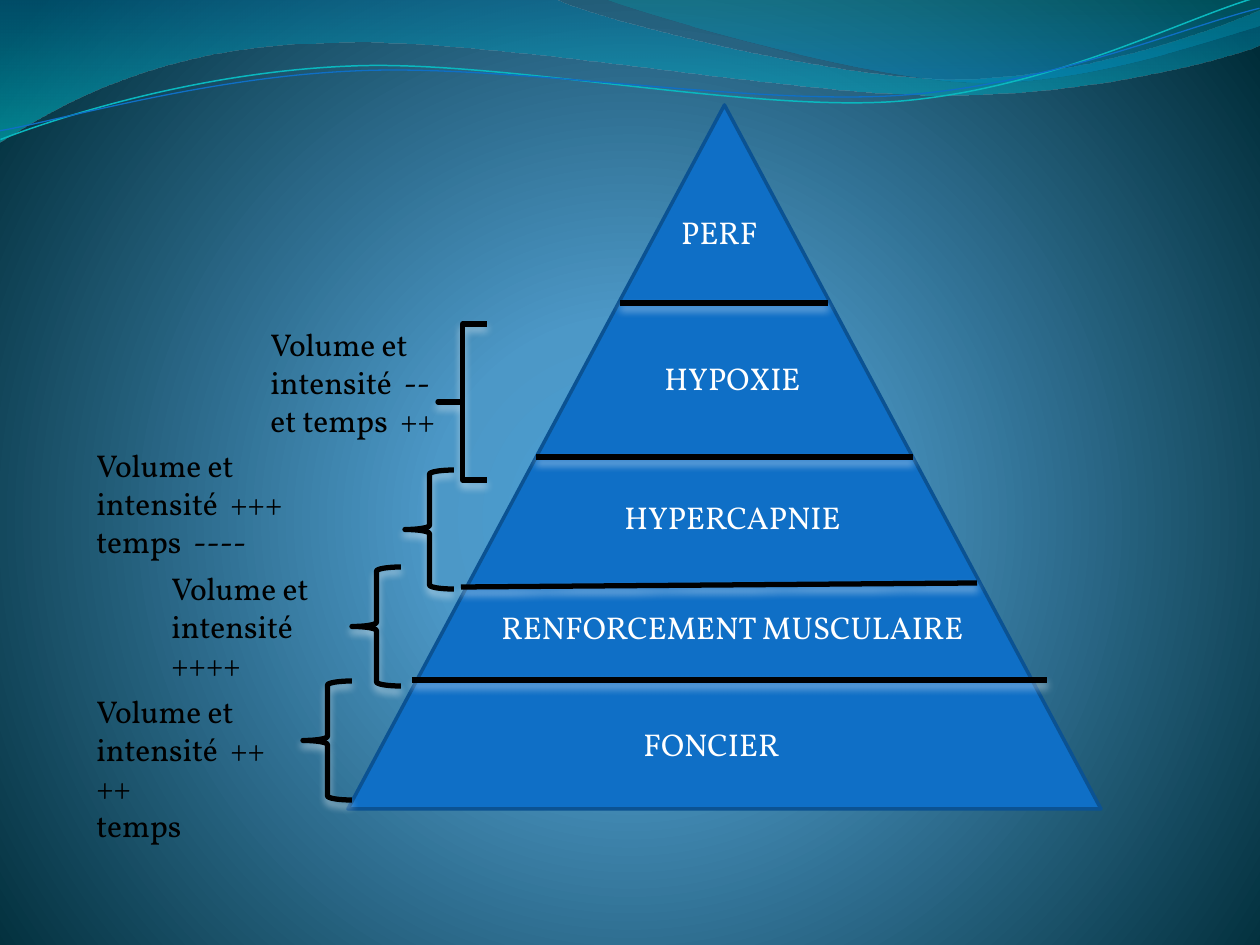
from lxml import etree
from pptx import Presentation
from pptx.dml.color import RGBColor
from pptx.enum.shapes import MSO_CONNECTOR, MSO_SHAPE
from pptx.enum.text import MSO_AUTO_SIZE, PP_ALIGN
from pptx.oxml import parse_xml
from pptx.oxml.ns import nsdecls, qn
from pptx.util import Pt

TRIANGLE, BRACE = MSO_SHAPE.ISOSCELES_TRIANGLE, MSO_SHAPE.LEFT_BRACE
STRAIGHT = MSO_CONNECTOR.STRAIGHT
GROW = MSO_AUTO_SIZE.SHAPE_TO_FIT_TEXT
LEFT, CENTER = PP_ALIGN.LEFT, PP_ALIGN.CENTER

PX = 914400 / 126
BLACK, WHITE, BLUE, DARK_BLUE = "000000", "FFFFFF", "0F6FC6", "0B5292"
CIRCLE = ('<a:path path="circle"><a:fillToRect l="10000" t="110000" '
          'r="10000" b="100000"/></a:path>')
DOWNWARD = '<a:lin ang="5400000" scaled="1"/>'


def px(n):
    return round(n * PX)


def color(hex_code):
    return RGBColor.from_string(hex_code)


def gradient(stops, direction):
    """Return a gradFill element; stops are (position %, colour, opacity %)."""
    gs = "".join(
        f'<a:gs pos="{pos * 1000}"><a:srgbClr val="{c}">'
        f'<a:alpha val="{opacity * 1000}"/></a:srgbClr></a:gs>'
        for pos, c, opacity in stops)
    return parse_xml(f'<a:gradFill {nsdecls("a")} rotWithShape="1">'
                     f'<a:gsLst>{gs}</a:gsLst>{direction}</a:gradFill>')


def add_step(path, tag, coords, left, top):
    """Append one drawing step whose coords are x, y pairs on the slide."""
    step = etree.SubElement(path, qn(tag))
    for x, y in zip(coords[::2], coords[1::2]):
        pt = etree.SubElement(step, qn("a:pt"))
        pt.set("x", str(px(x - left)))
        pt.set("y", str(px(y - top)))


def write(tf, paragraphs, size=18, font="Vollkorn", fill=BLACK, align=LEFT):
    for i, text in enumerate(paragraphs):
        p = tf.paragraphs[0] if i == 0 else tf.add_paragraph()
        p.alignment = align
        r = p.add_run()
        r.text = text
        r.font.size, r.font.name = Pt(size), font
        r.font.color.rgb = color(fill)


class Deck:
    def __init__(self, prs):
        self.s = prs.slides.add_slide(prs.slide_layouts[6])
        self.shapes = self.s.shapes

    def background(self, stops):
        self.s.background.fill.solid()
        bg = self.s._element.find(".//" + qn("p:bgPr"))
        bg.replace(bg[0], gradient(stops, CIRCLE))

    def curved_outline(self, box, start, segments, closed):
        """Draw lines (x, y) and cubic curves (x1, y1, x2, y2, x, y)."""
        x, y, w, h = box
        builder = self.shapes.build_freeform(px(x), px(y))
        builder.add_line_segments([(px(x + w), px(y + h))], close=False)
        sp = builder.convert_to_shape()
        path = sp._element.find(".//" + qn("a:path"))
        for step in list(path):
            path.remove(step)
        add_step(path, "a:moveTo", start, x, y)
        for seg in segments:
            tag = "a:lnTo" if len(seg) == 2 else "a:cubicBezTo"
            add_step(path, tag, seg, x, y)
        if closed:
            etree.SubElement(path, qn("a:close"))
        sp.shadow.inherit = False
        sp.fill.background()
        return sp

    def wave_band(self, box, start, segments, stops):
        sp = self.curved_outline(box, start, segments, closed=True)
        sp.line.fill.background()
        no_fill = sp._element.spPr.find(qn("a:noFill"))
        sp._element.spPr.replace(no_fill, gradient(stops, DOWNWARD))

    def wave_line(self, box, start, segments, line, width):
        sp = self.curved_outline(box, start, segments, closed=False)
        sp.rotation = 357.3
        self.stroke(sp, line, width)

    def stroke(self, sp, line, width):
        sp.line.color.rgb = color(line)
        sp.line.width = Pt(width)

    def cast_shadow(self, sp):
        effects = etree.SubElement(sp._element.spPr, qn("a:effectLst"))
        effects.append(parse_xml(
            f'<a:outerShdw {nsdecls("a")} blurRad="{Pt(4.5)}" dist="{Pt(3)}" '
            f'dir="5400000" rotWithShape="0"><a:srgbClr val="{WHITE}">'
            '<a:alpha val="48000"/></a:srgbClr></a:outerShdw>'))

    def pyramid(self, *box):
        sp = self.shapes.add_shape(TRIANGLE, *map(px, box))
        sp.shadow.inherit = False
        sp.fill.solid()
        sp.fill.fore_color.rgb = color(BLUE)
        self.stroke(sp, DARK_BLUE, 2)

    def divider(self, *ends):
        line = self.shapes.add_connector(STRAIGHT, *map(px, ends))
        self.stroke(line, BLACK, 3)
        self.cast_shadow(line)

    def brace(self, x, y, h=119, curl=None):
        sp = self.shapes.add_shape(BRACE, px(x), px(y), px(49), px(h))
        if curl is not None:
            sp.adjustments[0] = curl
        sp.fill.background()
        self.stroke(sp, BLACK, 3)
        self.cast_shadow(sp)

    def text(self, box, paragraphs, wrap=True, **style):
        tf = self.shapes.add_textbox(*map(px, box)).text_frame
        tf.word_wrap = wrap
        tf.auto_size = GROW
        write(tf, paragraphs, **style)


def main():
    prs = Presentation()
    prs.slide_width, prs.slide_height = px(1260), px(945)
    deck = Deck(prs)
    deck.background([(0, "4AA0D6", 100), (25, "4C98C7", 100),
                     (100, "002C38", 100)])

    deck.wave_band((-1, -1, 1262, 143), (0, 0),
                   [(554, -1), (600, 21, 837, 79, 955, 79),
                    (1075, 79, 1207, 33, 1260, 11), (1261, 45),
                    (1239, 55, 1096, 96, 940, 95),
                    (784, 95, 481, 35, 324, 43),
                    (163, 45, 58, 105, -1, 142), (0, 0)],
                   [(0, "0074A1", 45), (100, "00C6CF", 55)])
    deck.wave_band((604, -1, 656, 88), (604, -1),
                   [(642, 14, 859, 78, 969, 82),
                    (1079, 87, 1211, 40, 1260, 26), (1260, 0), (604, -1)],
                   [(0, "00A1A9", 30), (80, "008BBF", 45)])
    deck.wave_line((-2, 27, 1262, 90), (-2, 110),
                   [(58, 90, 199, 52, 350, 53),
                    (499, 53, 745, 118, 896, 114),
                    (1049, 109, 1184, 45, 1260, 27)], "0AB8BF", 0.85)
    deck.wave_line((-2, 38, 1264, 73), (-2, 101),
                   [(57, 94, 207, 57, 357, 58),
                    (509, 58, 750, 112, 902, 108),
                    (1052, 104, 1189, 52, 1262, 38)], BLUE, 0.75)

    deck.pyramid(348, 105, 753, 704)
    for ends in [(620, 303, 828, 303), (536, 457, 913, 457),
                 (461, 587, 977, 583), (412, 680, 1047, 680)]:
        deck.divider(*ends)
    for x, y, label in [(424, 207, "PERF"), (437, 353, "HYPOXIE"),
                        (437, 492, "HYPERCAPNIE"),
                        (437, 602, "RENFORCEMENT MUSCULAIRE"),
                        (416, 719, "FONCIER")]:
        deck.text((x, y, 591, 50), [label], fill=WHITE, align=CENTER)

    deck.brace(438, 324, h=156, curl=0)
    for x, y in [(405, 470), (352, 567), (303, 681)]:
        deck.brace(x, y)
    deck.text((258, 319, 193, 127),
              ["Volume et", "intensité  --", "et temps  ++"], wrap=False)
    deck.text((84, 440, 218, 127), ["Volume et intensité  +++ temps  ----"])
    deck.text((159, 563, 169, 127), ["Volume et intensité  ++++"])
    deck.text((84, 686, 198, 165), ["Volume et intensité  ++++", "temps"])

    prs.save("out.pptx")


if __name__ == "__main__":
    main()
